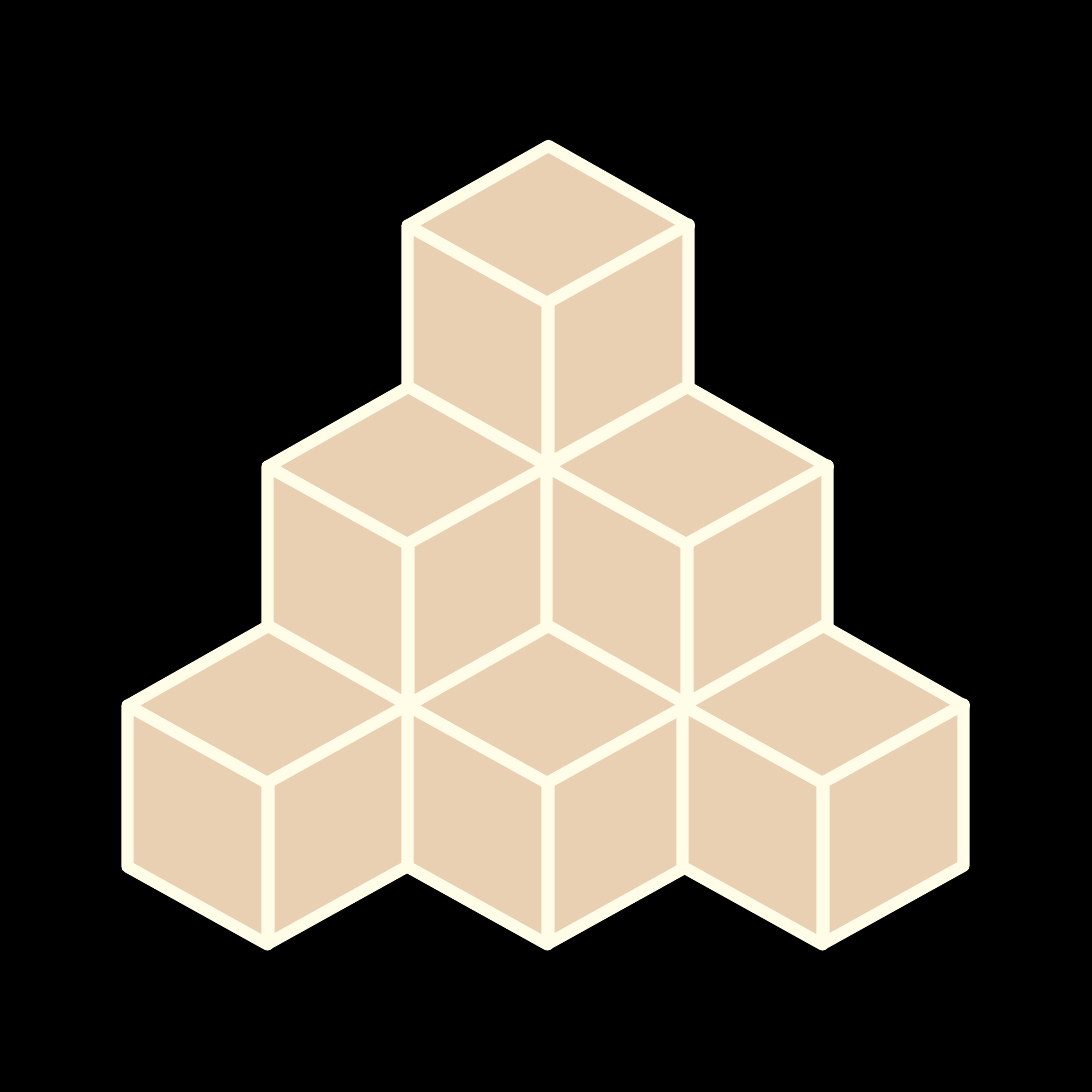
from lxml import etree
from pptx import Presentation
from pptx.dml.color import RGBColor
from pptx.enum.shapes import MSO_SHAPE
from pptx.oxml.ns import qn
from pptx.util import Emu, Pt

DIAMOND, PARALLELOGRAM = MSO_SHAPE.DIAMOND, MSO_SHAPE.PARALLELOGRAM

SIDE = 1092  # slide side in pixels
SCALE = 914400 * 7.5 / SIDE
BACKGROUND, FACE_FILL, EDGE = "000000", "EAD0B3", "FFFDE7"
EDGE_WIDTH = 6
SLANT = 0.555

# Top of each tier, then the left of each cube in it
TIERS = [
    (146, [408]),
    (387, [268, 547]),
    (626, [128, 408, 683]),
]

# Shape, offset from the cube's corner, size, rotation, mirrored
FACES = [
    (DIAMOND, (0, 0), (281, 159), 0, False),
    (PARALLELOGRAM, (91, 128), (239, 140), 270, True),
    (PARALLELOGRAM, (-50, 129), (239, 140), 90, False),
]


def px(length):
    """Turn pixels into EMU."""
    return Emu(round(length * SCALE))


def paint(fill, color):
    """Give a fill one solid colour."""
    fill.solid()
    fill.fore_color.rgb = RGBColor.from_string(color)


def add_face(cube, left, top, face):
    """Add one face to a cube whose corner is at left, top."""
    kind, (dx, dy), (width, height), rotation, mirrored = face
    shape = cube.shapes.add_shape(
        kind, px(left + dx), px(top + dy), px(width), px(height))
    shape.shadow.inherit = False
    shape.rotation = rotation
    if kind == PARALLELOGRAM:
        shape.adjustments[0] = SLANT
    if mirrored:
        shape.element.spPr.find(qn("a:xfrm")).set("flipV", "1")
    paint(shape.fill, FACE_FILL)
    paint(shape.line.fill, EDGE)
    shape.line.width = Pt(EDGE_WIDTH)
    etree.SubElement(shape.element.spPr.find(qn("a:ln")), qn("a:round"))


def add_cube(slide, left, top):
    """Add a cube as a group of three faces."""
    cube = slide.shapes.add_group_shape()
    for face in FACES:
        add_face(cube, left, top, face)


presentation = Presentation()
presentation.slide_width = presentation.slide_height = px(SIDE)
slide = presentation.slides.add_slide(presentation.slide_layouts[6])
paint(slide.background.fill, BACKGROUND)
for tier_top, cube_lefts in TIERS:
    for cube_left in cube_lefts:
        add_cube(slide, cube_left, tier_top)
presentation.save("out.pptx")
